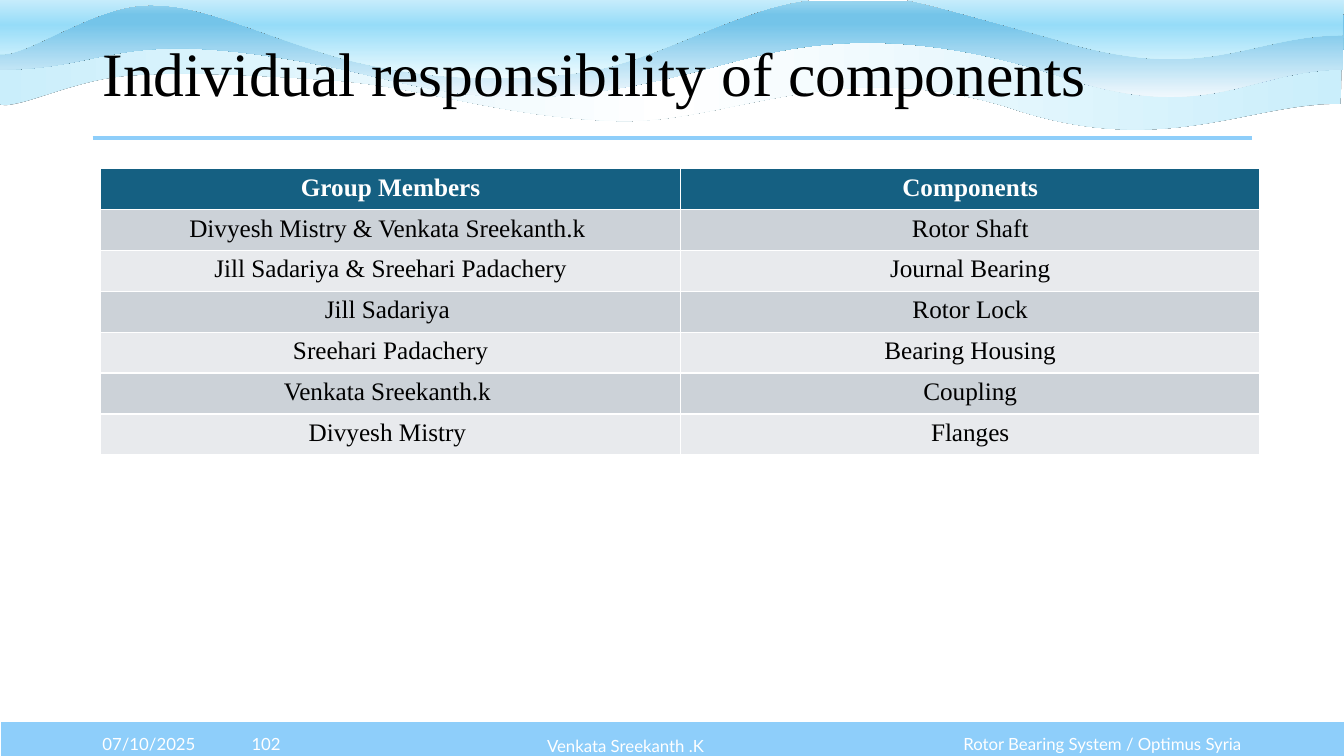
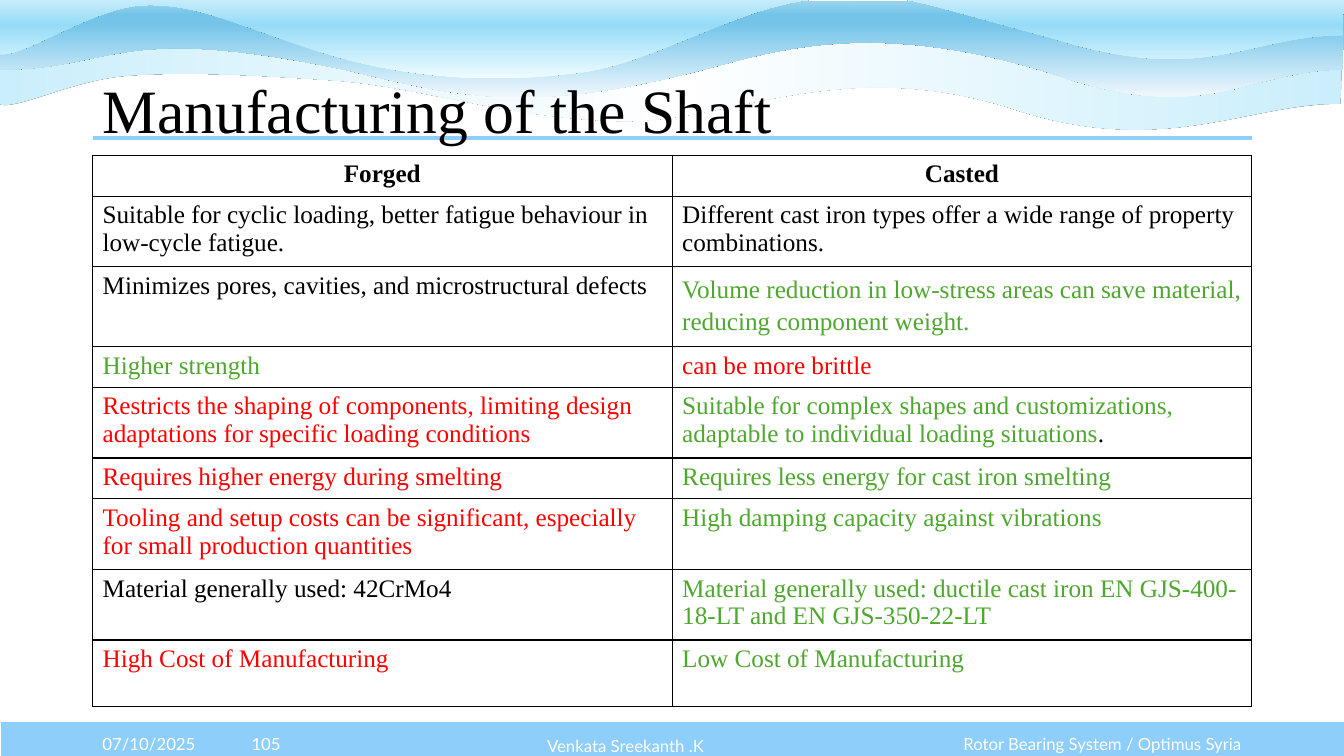
from lxml.etree import SubElement
from pptx import Presentation
from pptx.dml.color import RGBColor
from pptx.enum.shapes import MSO_CONNECTOR, MSO_SHAPE
from pptx.enum.text import MSO_ANCHOR, PP_ALIGN
from pptx.oxml.ns import qn
from pptx.util import Pt

INK, WHITE, SKY = "000000", "FFFFFF", "8ECEFA"
GOOD, BAD = "4EA72E", "FF0000"
HEADER, BANDS = "156082", ("CCD2D8", "E8EAED")
SERIF, SANS = "Times New Roman", "Lato"
WIDTH, HEIGHT = 960, 540
MARGIN, CONTENT_WIDTH = 66.1, 828
ONE_LINE, TWO_LINES, TWO_LOOSE_LINES = 29.2, 47.2, 52.8

# Each wave: height, gradient angle, gradient stops, upper corners (left, right),
# start of the lower edge, then its Bezier segments (two control points and an
# end point), from right to left.
WAVES = [
    (70.6, 0, [(0, "CAEEFB"), (50, WHITE), (100, "CAEEFB")],
     [(-2.9, 21.6), (959, 24.5)], (957.6, 74.2), [
        [(890.6, 73.4), (829.4, 114.5), (719.3, 76.3)],
        [(595.4, 38.9), (519.1, 89.3), (439.2, 86.4)],
        [(359.3, 83.5), (303.1, 62.6), (241.2, 57.6)],
        [(179.3, 53.3), (131.8, 51.1), (91.4, 54)],
        [(51.1, 56.9), (10.1, 79.9), (-1.4, 74.2)]]),
    (70.6, 90, [(0, "A2D8F0"), (17, "74C4E9"), (26, "74C4E9"), (100, "F0F8FD")],
     [(0.7, -1.4), (960, 2.2)], (959, 49.7), [
        [(892.1, 49.7), (861.1, 91.4), (751.7, 52.6)],
        [(627.1, 13.7), (556.6, 35.3), (508.3, 48.2)],
        [(380.2, 82.1), (330.5, 69.8), (249.1, 50.4)],
        [(81.4, 15.1), (82.8, 49.7), (0, 49.7)]]),
    (76.3, 90, [(0, WHITE), (50, "96DCF8"), (100, "EFFCFF")],
     [(0.7, -20.2), (960, -17.3)], (959, 25.2), [
        [(892.1, 25.2), (861.1, 61.9), (751.7, 27.4)],
        [(627.8, -6.5), (641.5, -5), (585.4, -0.7)],
        [(529.2, 2.9), (470.2, 44.6), (414.7, 51.8)],
        [(358.6, 59), (305.3, 56.9), (249.8, 43.2)],
        [(185.8, 25.9), (149, 3.6), (108, 3.6)],
        [(66.2, 2.9), (15.8, 43.9), (-2.2, 38.2)]]),
]

RESPONSIBILITIES = [
    ("Group Members", "Components"),
    ("Divyesh Mistry & Venkata Sreekanth.k ", "Rotor Shaft"),
    ("Jill Sadariya & Sreehari Padachery", "Journal Bearing"),
    ("Jill Sadariya ", "Rotor Lock"),
    ("Sreehari Padachery", "Bearing Housing"),
    ("Venkata Sreekanth.k ", "Coupling"),
    ("Divyesh Mistry ", "Flanges"),
]

# Each row: height, then the coloured spans of the left and the right cell.
PROCESSES = [
    (ONE_LINE, [("Forged", INK)], [("Casted", INK)]),
    (TWO_LINES,
     [("Suitable for cyclic loading, better fatigue behaviour in low-cycle fatigue.", INK)],
     [("Different cast iron types offer a wide range of property combinations.", INK)]),
    (TWO_LOOSE_LINES,
     [("Minimizes pores, cavities, and microstructural defects", INK)],
     [("Volume reduction in low-stress areas can save material, reducing component weight.",
       GOOD)]),
    (ONE_LINE, [("Higher strength", GOOD)], [("can be more brittle", BAD)]),
    (TWO_LINES,
     [("Restricts the shaping of components, limiting design adaptations for specific "
       "loading conditions", BAD)],
     [("Suitable for complex shapes and customizations, adaptable to individual loading "
       "situations", GOOD), (".", INK)]),
    (ONE_LINE,
     [("Requires higher energy during smelting", BAD)],
     [("Requires less energy for cast iron smelting", GOOD)]),
    (TWO_LINES,
     [("Tooling and setup costs can be significant, especially for small production "
       "quantities", BAD)],
     [("High damping capacity against vibrations", GOOD)]),
    (TWO_LINES,
     [("Material generally used: 42CrMo4", INK)],
     [("Material generally used: ductile cast iron EN GJS-400-18-LT and EN GJS-350-22-LT",
       GOOD)]),
    (TWO_LINES,
     [("High Cost of Manufacturing", BAD)], [("Low Cost of Manufacturing", GOOD)]),
]


def color(code):
    return RGBColor.from_string(code)


def points(*values):
    return [Pt(value) for value in values]


def bend_lines(shape, count, height):
    """Turn the first lines of an outline, three by three, into Bezier curves.

    The height leaves out control points that lie below the drawn curve.
    """
    outline = shape.element.spPr.find(".//" + qn("a:path"))
    lines = outline.findall(qn("a:lnTo"))
    for index in range(0, count * 3, 3):
        curve = SubElement(outline, qn("a:cubicBezTo"))
        lines[index].addprevious(curve)
        for line in lines[index:index + 3]:
            curve.append(line[0])
            outline.remove(line)
    shape.height = Pt(height)
    outline.set("h", str(Pt(height)))


def fill_gradient(shape, stops, angle):
    shape.fill.gradient()
    gradient = shape.element.spPr.find(qn("a:gradFill"))
    stop_list = gradient.find(qn("a:gsLst"))
    for stop in list(stop_list):
        stop_list.remove(stop)
    for position, code in stops:
        stop = SubElement(stop_list, qn("a:gs"), pos=str(position * 1000))
        SubElement(stop, qn("a:srgbClr"), val=code)
    gradient.find(qn("a:lin")).set("ang", str(angle * 60000))


def set_borders(cell, code):
    """Draw one-point cell borders; the fill must be set afterwards."""
    properties = cell._tc.get_or_add_tcPr()
    for side in "LRTB":
        line = SubElement(properties, qn(f"a:ln{side}"), w=str(Pt(1)))
        solid = SubElement(line, qn("a:solidFill"))
        SubElement(solid, qn("a:srgbClr"), val=code)


def style_font(font, name, size, code, bold=False):
    font.name, font.size, font.bold = name, Pt(size), bold
    font.color.rgb = color(code)


class Deck:
    """Holds the presentation, its shared style and the current page."""

    def __init__(self):
        self.deck = Presentation()
        self.deck.slide_width, self.deck.slide_height = points(WIDTH, HEIGHT)
        self.layout = self.deck.slide_layouts[5]
        self.page = None

    def add_page(self, title, number, title_top):
        first = self.page is None
        self.page = self.deck.slides.add_slide(self.layout)
        if first:
            self.decorate_layout()
        self.set_title(title, title_top)
        self.add_footer("07/10/2025", MARGIN, 87.8, PP_ALIGN.LEFT)
        self.add_footer(number, 153.4, 73.4, PP_ALIGN.CENTER)
        self.add_footer("Venkata Sreekanth .K", 226.6, 440.6, PP_ALIGN.CENTER, 518.4)
        self.add_footer("Rotor Bearing System / Optimus Syria", 667.2, 226.8,
                        PP_ALIGN.RIGHT)

    def decorate_layout(self):
        self.add_band()
        for wave in WAVES:
            self.add_wave(*wave)
        self.add_rule()

    def move_to_layout(self, shape):
        """Slides can draw new shapes but layouts cannot, so hand the shape over."""
        shape.element.xpath(".//p:cNvPr")[0].set("id", str(100 + len(self.layout.shapes)))
        self.layout.shapes.element.append(shape.element)

    def add_band(self):
        band = self.page.shapes.add_shape(
            MSO_SHAPE.RECTANGLE, *points(0, 514.8, 961, 28.8))
        band.shadow.inherit = False
        band.fill.solid()
        band.fill.fore_color.rgb = color(SKY)
        band.line.color.rgb = color(WHITE)
        band.line.width = Pt(1.5)
        self.move_to_layout(band)

    def add_wave(self, height, angle, stops, corners, start, segments):
        outline = [point for segment in segments for point in segment] + corners
        builder = self.page.shapes.build_freeform(*points(*start))
        builder.add_line_segments([points(*point) for point in outline], close=True)
        wave = builder.convert_to_shape()
        bend_lines(wave, len(segments), height)
        wave.line.fill.background()
        fill_gradient(wave, stops, angle)
        wave.shadow.inherit = False
        effects = wave.element.spPr.find(qn("a:effectLst"))
        shadow = SubElement(effects, qn("a:outerShdw"), blurRad="0", dist="0", dir="0")
        SubElement(shadow, qn("a:srgbClr"), val=INK)
        self.move_to_layout(wave)

    def add_rule(self):
        rule = self.page.shapes.add_connector(
            MSO_CONNECTOR.STRAIGHT, *points(MARGIN, 98.6, MARGIN + CONTENT_WIDTH, 98.6))
        rule.line.color.rgb = color(SKY)
        rule.line.width = Pt(3)
        SubElement(rule.element.spPr, qn("a:effectLst"))
        self.move_to_layout(rule)

    def set_title(self, text, top):
        title = self.page.shapes.title
        title.left, title.top, title.width, title.height = points(
            MARGIN, top, CONTENT_WIDTH, 104.4)
        title.text_frame.text = text
        title.text_frame.vertical_anchor = MSO_ANCHOR.MIDDLE
        paragraph = title.text_frame.paragraphs[0]
        paragraph.alignment = PP_ALIGN.LEFT
        paragraph.line_spacing = 0.9
        style_font(paragraph.font, SERIF, 44, INK)

    def add_footer(self, text, left, width, alignment, top=517):
        box = self.page.shapes.add_textbox(*points(left, top, width, 28.8))
        frame = box.text_frame
        frame.word_wrap = True
        frame.vertical_anchor = MSO_ANCHOR.MIDDLE
        frame.text = text
        paragraph = frame.paragraphs[0]
        paragraph.alignment = alignment
        style_font(paragraph.font, SANS, 12, WHITE)

    def add_table(self, left, top, heights):
        """Add a two-column table in the default style and return it."""
        frame = self.page.shapes.add_table(
            len(heights), 2, *points(left, top, CONTENT_WIDTH, sum(heights)))
        for row, height in zip(frame.table.rows, heights):
            row.height = Pt(height)
        return frame.table

    def add_banded_table(self, rows, left, top):
        """Fill the cells; the white rules come from the default table style."""
        table = self.add_table(left, top, [ONE_LINE] * len(rows))
        for row_index, texts in enumerate(rows):
            header = row_index == 0
            for column_index, text in enumerate(texts):
                cell = table.cell(row_index, column_index)
                cell.fill.solid()
                cell.fill.fore_color.rgb = color(
                    HEADER if header else BANDS[(row_index - 1) % 2])
                cell.text = text
                paragraph = cell.text_frame.paragraphs[0]
                paragraph.alignment = PP_ALIGN.CENTER
                style_font(paragraph.font, SERIF, 18, WHITE if header else INK, header)

    def add_ruled_table(self, rows, left, top):
        table = self.add_table(left, top, [row[0] for row in rows])
        table.first_row = table.horz_banding = False
        for row_index, (height, *cells) in enumerate(rows):
            header = row_index == 0
            for column_index, spans in enumerate(cells):
                cell = table.cell(row_index, column_index)
                set_borders(cell, INK)
                cell.fill.background()
                paragraph = cell.text_frame.paragraphs[0]
                paragraph.alignment = PP_ALIGN.CENTER if header else PP_ALIGN.LEFT
                if height == TWO_LOOSE_LINES and column_index == 1:
                    paragraph.line_spacing = 1.15
                for text, code in spans:
                    span = paragraph.add_run()
                    span.text = text
                    style_font(span.font, SERIF, 18, code, header)

    def save(self):
        self.deck.save("out.pptx")


def main():
    deck = Deck()
    deck.add_page("Individual responsibility of components", "102", title_top=2.4)
    deck.add_banded_table(RESPONSIBILITIES, 72, 120.5)
    deck.add_page("Manufacturing of the Shaft", "105", title_top=28.8)
    deck.add_ruled_table(PROCESSES, MARGIN, 111)
    deck.save()


if __name__ == "__main__":
    main()
